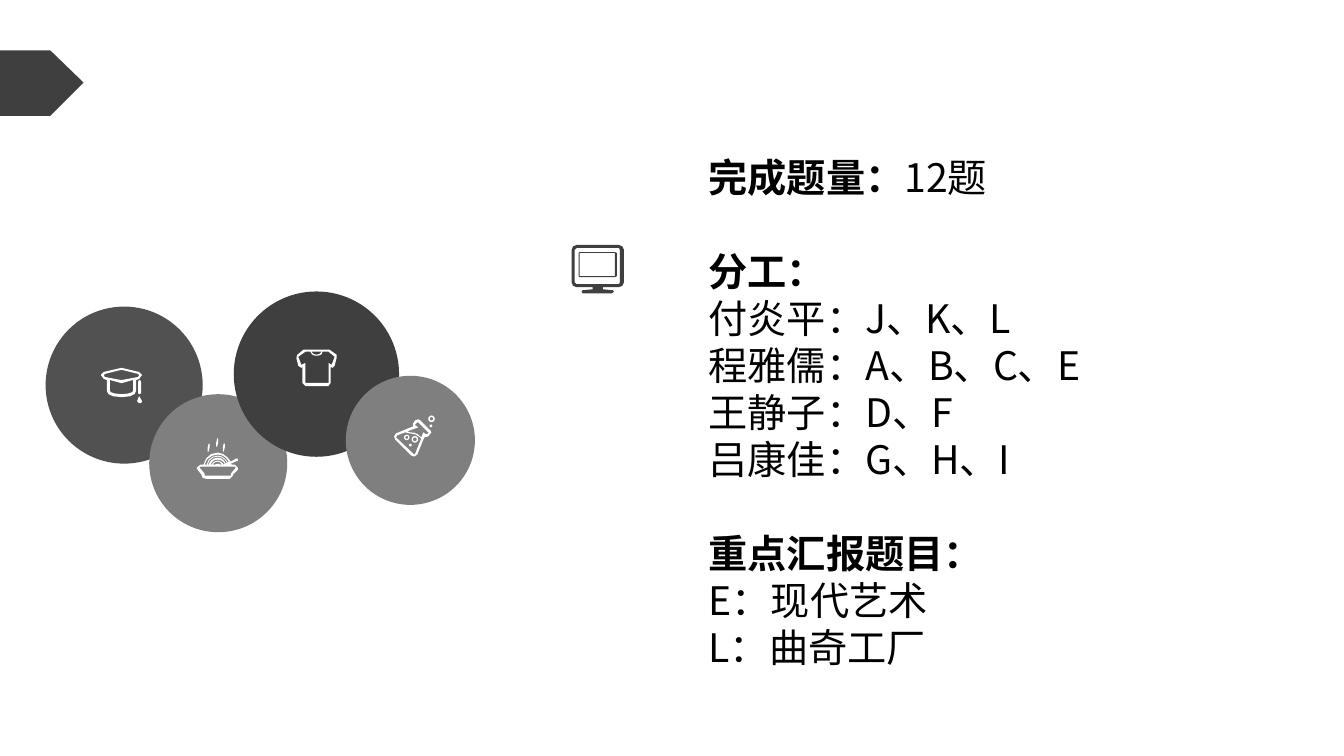
from dataclasses import dataclass
from math import dist

from lxml import etree
from pptx import Presentation
from pptx import util as u
from pptx.dml.color import RGBColor
from pptx.enum import shapes, text
from pptx.oxml import ns

DARK = RGBColor(0x3F, 0x3F, 0x3F)
GREY = RGBColor(0x7F, 0x7F, 0x7F)
WHITE = RGBColor(0xFF, 0xFF, 0xFF)
BLACK = RGBColor(0, 0, 0)
FACE = "Noto Sans CJK SC"
GRID = 0.72
FINE = 100
PITCH = u.Pt(33.6)


@dataclass
class Disc:
    left: float
    top: float
    size: float
    fill: RGBColor = WHITE
    alpha: int = 100
    rim: float = 0


@dataclass
class Icon:
    x: float
    y: float
    loops: str
    fill: RGBColor = WHITE


@dataclass
class Line:
    words: str
    head: str = ""
    gap: bool = False


TAG = "M 0 0 L 50 0 83 32 50 65 0 65"
SHIRT = (
    "M 35 15 L 32 13 32 33 9 33 9 13 5 15 2 7 9 2 14 2 C 15 5 17 6 20 6 "
    "C 23 6 26 5 26 2 L 32 2 38 7 "
    "M 25 2 C 24 4 22 5 20 5 C 18 5 16 4 15 2 "
    "M 40 5 L 33 0 7 0 1 5 0 8 2 16 5 18 6 17 6 33 9 36 32 36 34 33 34 17 "
    "36 18 38 16 40 8")
BOWL = (
    "M 34 21 L 34 23 8 23 8 21 3 15 4 14 38 14 39 15 "
    "M 21 5 C 17 5 13 8 12 12 L 11 12 C 12 7 16 4 21 4 C 25 4 29 7 30 10 "
    "L 29 11 C 28 8 25 5 21 5 "
    "M 21 11 L 18 12 16 12 C 17 10 19 9 21 9 C 23 9 24 10 25 12 L 24 12 "
    "M 27 12 C 26 10 23 8 21 8 C 18 8 16 10 15 12 L 14 12 C 15 9 17 7 21 7 "
    "C 24 7 27 9 28 11 "
    "M 21 2 C 26 2 30 5 32 9 L 31 10 C 29 6 25 3 21 3 C 15 3 11 7 10 12 "
    "L 8 12 C 9 6 15 2 21 2 "
    "M 38 12 L 35 12 34 11 41 8 41 6 39 6 34 9 C 31 4 26 0 21 0 "
    "C 14 0 8 5 7 12 L 4 12 0 15 1 17 5 22 6 25 9 26 33 26 36 23 36 22 41 17 41 15")
STEAM = "M 0 9 L 1 9 2 5 2 1 1 1 0 5"
FLASK = (
    "M 34 14 L 32 15 29 13 27 18 C 24 14 20 13 16 13 "
    "L 13 12 24 8 21 6 21 5 23 3 24 3 34 13 "
    "M 21 34 L 20 35 2 18 3 16 11 13 C 16 15 22 13 27 19 "
    "M 26 1 L 24 0 21 1 19 4 19 7 2 14 0 17 1 20 17 36 20 37 23 35 30 18 "
    "34 17 37 13 36 11")
CAP = (
    "M 21 12 L 20 12 4 9 3 7 4 6 20 2 21 2 37 6 38 7 37 9 "
    "M 32 23 C 32 24 28 26 21 26 C 13 26 9 24 9 23 L 9 12 20 15 21 15 32 12 "
    "M 41 7 L 38 4 21 0 20 0 3 4 0 7 3 11 6 12 6 23 C 6 26 10 29 21 29 "
    "C 31 29 35 26 35 23 L 35 12 38 11")
CORD = "M 0 2 L 0 13 1 14 2 14 3 13 3 2 2 0 1 0"
TUFT = "M 2 0 L 0 5 2 7 4 7 5 5"
SCREEN = "M 36 24 L 1 24 1 1 36 1 M 36 0 L 1 0 0 1 0 24 1 25 36 25 38 24 38 1"
FRAME = (
    "M 48 37 L 47 39 5 39 3 37 3 5 5 3 47 3 48 5 "
    "M 47 0 L 5 0 1.5 1.5 0 5 0 37 1.5 40.5 5 42 21 42 21 44 11 45 10 46.5 11 48 "
    "40 48 42 46.5 41 45 31 44 31 42 47 42 50.5 40.5 52 37 52 5 50.5 1.5")

DISCS = [
    Disc(32.6, 219, 112.2, DARK, 90),
    Disc(106.6, 281.6, 98.6, GREY),
    Disc(167, 208.2, 118.1, DARK),
    Disc(247, 268.4, 92.2, GREY),
]
BUBBLES = [
    Disc(294, 311.5, 4.7, rim=0.2),
    Disc(305.9, 296.8, 4.7, rim=0.23),
    Disc(288.6, 310.5, 3.9, rim=0.23),
    Disc(292.1, 316.9, 2),
    Disc(306.8, 303.2, 2),
]
ICONS = [
    Icon(0, 50, TAG, DARK),
    Icon(294, 347, SHIRT),
    Icon(195, 449, BOWL),
    *(Icon(x, y, STEAM) for x, y in ((206, 439), (221, 439), (214.5, 434))),
    Icon(391, 416, FLASK),
    Icon(100, 365, CAP),
    Icon(137, 377, CORD),
    Icon(136, 393, TUFT),
    Icon(574, 250, SCREEN, DARK),
    Icon(567, 243, FRAME, DARK),
]
LINES = [
    Line("12题", "完成题量："),
    Line("", "分工：", True),
    Line("付炎平：J、K、L"),
    Line("程雅儒：A、B、C、E"),
    Line("王静子：D、F"),
    Line("吕康佳：G、H、I"),
    Line("", "重点汇报题目：", True),
    Line("E：现代艺术"),
    Line("L：曲奇工厂"),
]


def assign(item, values: dict) -> None:
    for name, value in values.items():
        setattr(item, name, value)


def paint(shape, fill: RGBColor) -> None:
    shape.shadow.inherit = False
    shape.fill.solid()
    shape.fill.fore_color.rgb = fill
    shape.line.fill.background()


def trace(loop: str) -> list[tuple[float, float]]:
    dots = []
    for part in loop.replace("L", "|L").replace("C", "|C").split("|"):
        nums = [float(n) * GRID * FINE for n in part.strip("LC ").split()]
        pairs = list(zip(nums[::2], nums[1::2]))
        if part.startswith("C"):
            curve = [dots[-1], *pairs]
            steps = 2 if dist(curve[0], curve[3]) < 6 * GRID * FINE else 3
            for step in range(1, steps + 1):
                t = step / steps
                rates = ((1 - t) ** 3, 3 * t * (1 - t) ** 2, 3 * t * t * (1 - t), t ** 3)
                dots.append(tuple(sum(r * p[i] for r, p in zip(rates, curve)) for i in (0, 1)))
        else:
            dots.extend(pairs)
    return dots


def draw_disc(slide, disc: Disc) -> None:
    kind = shapes.MSO_SHAPE.DONUT if disc.rim else shapes.MSO_SHAPE.OVAL
    box = [u.Pt(n) for n in (disc.left, disc.top, disc.size, disc.size)]
    shape = slide.shapes.add_shape(kind, *box)
    paint(shape, disc.fill)
    if disc.rim:
        shape.adjustments[0] = disc.rim
    if disc.alpha < 100:
        tint = shape._element.spPr.find(".//" + ns.qn("a:srgbClr"))
        etree.SubElement(tint, ns.qn("a:alpha"), val=str(disc.alpha * 1000))


def draw_icon(slide, icon: Icon) -> None:
    loops = [trace(loop) for loop in icon.loops.split("M")[1:]]
    pen = slide.shapes.build_freeform(*loops[0][0], scale=float(u.Pt(1 / FINE)))
    for index, dots in enumerate(loops):
        if index:
            pen.move_to(*dots[0])
        pen.add_line_segments(dots[1:], close=True)
    paint(pen.convert_to_shape(u.Pt(icon.x * GRID), u.Pt(icon.y * GRID)), icon.fill)


def add_run(para, words: str, bold: bool) -> None:
    run = para.add_run()
    run.text = words
    assign(run.font, {"name": FACE, "size": u.Pt(28), "bold": bold})
    run.font.color.rgb = BLACK
    etree.SubElement(run._r.get_or_add_rPr(), ns.qn("a:ea"), typeface=FACE)


def fill_body(body) -> None:
    assign(body, {"left": u.Pt(499), "top": u.Pt(103), "width": u.Pt(423.4), "height": u.Pt(414)})
    frame = body.text_frame
    assign(frame, {"word_wrap": True, "auto_size": text.MSO_AUTO_SIZE.NONE,
                   "vertical_anchor": text.MSO_ANCHOR.TOP, "margin_top": u.Pt(6.5)})
    for index, line in enumerate(LINES):
        para = frame.add_paragraph() if index else frame.paragraphs[0]
        assign(para, {"line_spacing": PITCH, "space_after": u.Pt(0),
                      "space_before": PITCH if line.gap else u.Pt(0),
                      "alignment": text.PP_ALIGN.LEFT})
        props = para._p.get_or_add_pPr()
        props.set("marL", "0")
        props.set("indent", "0")
        etree.SubElement(props, ns.qn("a:buNone"))
        for words, bold in ((line.head, True), (line.words, False)):
            if words:
                add_run(para, words, bold)


def main() -> None:
    deck = Presentation()
    assign(deck, {"slide_width": u.Pt(960), "slide_height": u.Pt(540)})
    slide = deck.slides.add_slide(deck.slide_layouts[1])
    title = slide.shapes.title._element
    title.getparent().remove(title)
    for disc in DISCS + BUBBLES:
        draw_disc(slide, disc)
    for icon in ICONS:
        draw_icon(slide, icon)
    fill_body(slide.placeholders[1])
    deck.save("out.pptx")


if __name__ == "__main__":
    main()
